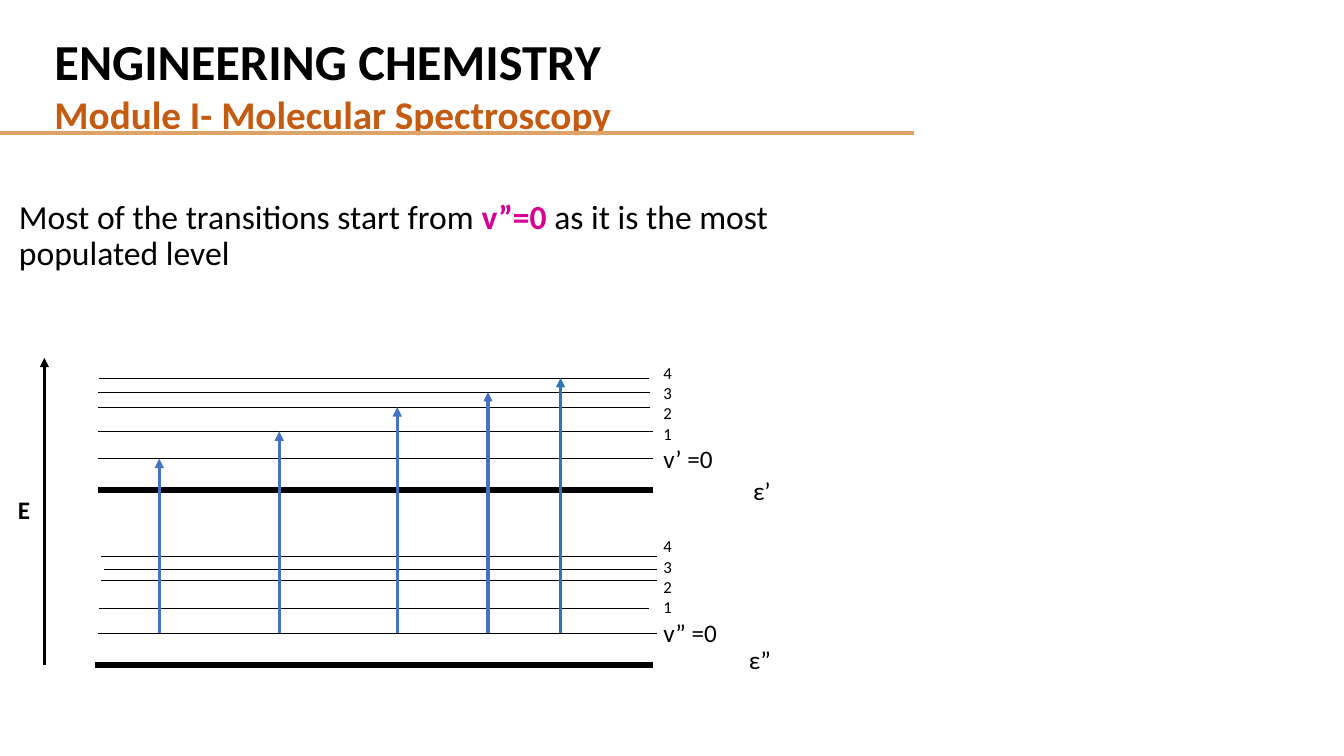
from lxml import etree
from pptx import Presentation
from pptx.dml.color import RGBColor
from pptx.enum.shapes import MSO_CONNECTOR
from pptx.enum.text import MSO_ANCHOR, MSO_AUTO_SIZE, PP_ALIGN
from pptx.oxml.ns import qn
from pptx.util import Emu, Pt

STRAIGHT = MSO_CONNECTOR.STRAIGHT
TOP = MSO_ANCHOR.TOP
NO_FIT = MSO_AUTO_SIZE.NONE
LEFT = PP_ALIGN.LEFT

PX = 9144  # 100 px to the inch
FONT = "Calibri"
TITLE_ONLY = 5
COLORS = {
    "black": "000000",
    "rule": "DFA267",
    "module": "C55A11",
    "accent": "D60093",
    "arrow": "4472C4",
    "last_arrow": "2E75B6",
}

# Each level: left, right, y
UPPER_LEVELS = [(97, 648, 455), (97, 648, 428), (97, 645, 404),
                (97, 645, 389), (98, 644, 375)]
LOWER_LEVELS = [(97, 652, 628), (98, 644, 604), (100, 652, 576),
                (103, 652, 565), (100, 652, 552)]
# Each electronic state: baseline, levels, label top, quantum number, name, name place
STATES = [
    ((97, 648, 486), UPPER_LEVELS, 355, "v’ =0", "ε’", (737, 467)),
    ((94, 648, 660), LOWER_LEVELS, 527, "v” =0", "ε”", (733, 634)),
]
TRANSITION_XS = [158, 277, 394, 484, 556]


def px(n):
    return Emu(n * PX)


def rgb(name):
    return RGBColor.from_string(COLORS[name])


def add_line(s, x1, y1, x2, y2, width, color="black", arrow=False):
    line = s.shapes.add_connector(STRAIGHT, px(x1), px(y1), px(x2), px(y2))
    line.line.color.rgb = rgb(color)
    line.line.width = Pt(width)
    sp_pr = line._element.spPr
    if arrow:
        ln = sp_pr.find(qn("a:ln"))
        etree.SubElement(ln, qn("a:tailEnd"), type="triangle")
    etree.SubElement(sp_pr, qn("a:effectLst"))


def write_text(sp, paragraphs, spacing=1.0):
    """Fill sp with paragraphs, each a list of (text, size, color, bold) runs."""
    tf = sp.text_frame
    tf.word_wrap = True
    tf.auto_size = NO_FIT
    tf.vertical_anchor = TOP
    for i, runs in enumerate(paragraphs):
        p = tf.paragraphs[0] if i == 0 else tf.add_paragraph()
        p.alignment = LEFT
        p.line_spacing = spacing
        p.space_before = Pt(0)
        for text, size, color, bold in runs:
            r = p.add_run()
            r.text = text
            r.font.name = FONT
            r.font.size = Pt(size)
            r.font.bold = bold
            r.font.color.rgb = rgb(color)


def add_text(s, x, y, w, h, paragraphs, spacing=1.0):
    write_text(s.shapes.add_textbox(px(x), px(y), px(w), px(h)), paragraphs, spacing)


def add_header(s):
    add_line(s, -1, 132, 907, 132, 3, "rule")
    title = s.shapes.title
    title.left, title.top, title.width, title.height = map(px, (44, 25, 875, 118))
    write_text(title, [
        [("ENGINEERING CHEMISTRY", 36, "black", True)],
        [("Module I- Molecular Spectroscopy", 28, "module", True)],
    ])


def add_state(s, baseline, levels, label_top, ground, name, name_place):
    """Draw one electronic state with its vibrational levels and labels."""
    left, right, y = baseline
    add_line(s, left, y, right, y, 4.5)
    for left, right, y in levels:
        add_line(s, left, y, right, y, 0.5)
    labels = [[(str(n), 12, "black", False)] for n in range(4, 0, -1)]
    labels.append([(ground, 18, "black", False)])
    add_text(s, 648, label_top, 85, 121, labels)
    add_text(s, *name_place, 61, 40, [[(name, 18, "black", False)]])


def add_energy_axis(s):
    add_line(s, 44, 660, 44, 355, 2.25, arrow=True)
    add_text(s, 8, 486, 24, 40, [[("E", 18, "black", True)]])


def add_transitions(s):
    """Raise one arrow from the lowest level to each upper level."""
    start = LOWER_LEVELS[0][2]
    for x, (_, _, end) in zip(TRANSITION_XS, UPPER_LEVELS):
        color = "last_arrow" if x == TRANSITION_XS[-1] else "arrow"
        add_line(s, x, start, x, end, 2.25, color, arrow=True)


def main():
    prs = Presentation()
    prs.slide_width, prs.slide_height = px(1333), px(750)
    s = prs.slides.add_slide(prs.slide_layouts[TITLE_ONLY])
    add_header(s)
    add_text(s, 9, 194, 900, 97, [[
        ("Most of the transitions start from ", 24, "black", False),
        ("v”=0 ", 24, "accent", True),
        ("as it is the most populated level", 24, "black", False),
    ]], spacing=0.9)
    for state in STATES:
        add_state(s, *state)
    add_energy_axis(s)
    add_transitions(s)
    prs.save("out.pptx")


if __name__ == "__main__":
    main()
